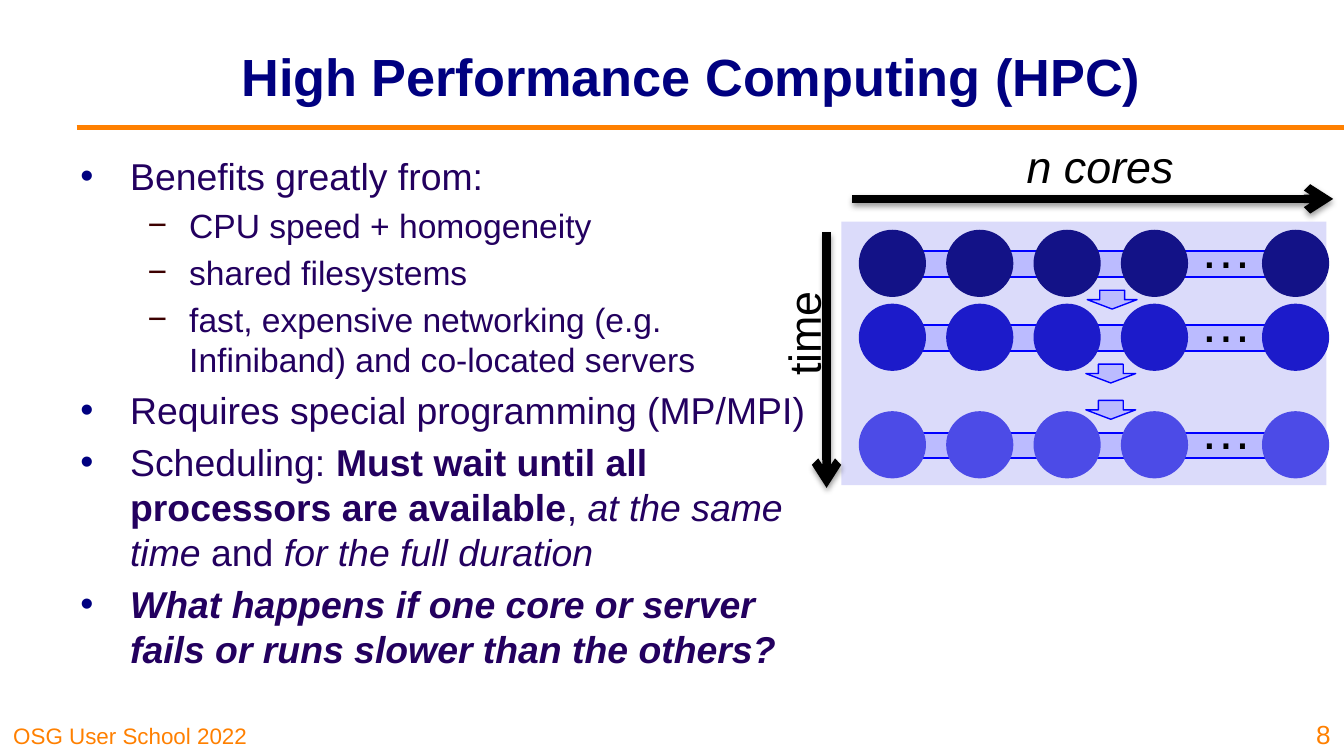
from lxml import etree
from pptx import Presentation
from pptx.dml.color import RGBColor
from pptx.enum.shapes import MSO_CONNECTOR as Connector, MSO_SHAPE as Shape
from pptx.enum.text import MSO_ANCHOR as Anchor, PP_ALIGN as Align
from pptx.oxml.ns import qn
from pptx.util import Inches, Pt

COLORS = {
    "navy": "000080", "orange": "FF8000", "ink": "23005F", "dash": "3C0000",
    "black": "000000", "panel": "DBDBFA", "bar": "BBBBFF", "edge": "0000FF",
    "dark core": "131287", "mid core": "1C1BCA", "light core": "4C4BE7",
}
FONT = "Arial"

# Each paragraph: level, then runs of (text, style), b for bold and i for italic
BODY = [
    (0, [("Benefits greatly from:", "")]),
    (1, [("CPU speed + homogeneity", "")]),
    (1, [("shared filesystems", "")]),
    (1, [("fast, expensive networking (e.g. Infiniband) and co-located servers", "")]),
    (0, [("Requires special programming (MP/MPI)", "")]),
    (0, [("Scheduling: ", ""), ("Must wait until all processors are available", "b"),
         (", ", ""), ("at the same time", "i"), (" and ", ""),
         ("for the full duration", "i")]),
    (0, [("What happens if one core or server fails or runs slower than the others?", "bi")]),
]
# Bullet, its colour, text size, left margin and hanging indent by level
LEVELS = [("•", "navy", 20, 0.37, 0.37), ("−", "dash", 18, 0.81, 0.31)]

CORE_ROWS = [(1.71, "dark core"), (2.26, "mid core"), (3.06, "light core")]
CORE_LEFTS = [6.39 + 0.65 * column for column in range(4)] + [9.39]
STEP_ARROWS = [(8.09, 2.16), (8.08, 2.71), (8.08, 2.98)]


def rgb(color):
    return RGBColor.from_string(COLORS[color])


def add_span(para, text, size, color, style=""):
    span = para.add_run()
    span.text = text
    span.font.name = FONT
    span.font.size = Pt(size)
    span.font.bold = "b" in style
    span.font.italic = "i" in style
    span.font.color.rgb = rgb(color)


def add_box(page, left, top, width, height, anchor=Anchor.TOP, wrap=True):
    box = page.shapes.add_textbox(Inches(left), Inches(top), Inches(width), Inches(height))
    box.text_frame.word_wrap = wrap
    box.text_frame.vertical_anchor = anchor
    return box


def add_label(page, place, text, size, color, style="", align=Align.LEFT, **options):
    box = add_box(page, *place, **options)
    para = box.text_frame.paragraphs[0]
    para.alignment = align
    add_span(para, text, size, color, style)
    return box


def set_bullet(para, mark, color, margin, hanging):
    props = para._p.get_or_add_pPr()
    props.set("marL", str(Inches(margin)))
    props.set("indent", str(-Inches(hanging)))
    tint = etree.SubElement(props, qn("a:buClr"))
    etree.SubElement(tint, qn("a:srgbClr"), val=COLORS[color])
    etree.SubElement(props, qn("a:buFont"), typeface=FONT)
    etree.SubElement(props, qn("a:buChar"), char=mark)


def add_body(page):
    frame = add_box(page, 0.5, 1.09, 5.67, 3.84).text_frame
    for index, (level, runs) in enumerate(BODY):
        para = frame.add_paragraph() if index else frame.paragraphs[0]
        mark, color, size, margin, hanging = LEVELS[level]
        para.level = level
        para.space_before = Pt(0.2 * size if index else 0)
        set_bullet(para, mark, color, margin, hanging)
        for text, style in runs:
            add_span(para, text, size, "ink", style)


def add_shape(page, kind, left, top, width, height, fill, line_width=0):
    shape = page.shapes.add_shape(
        kind, Inches(left), Inches(top), Inches(width), Inches(height))
    shape.shadow.inherit = False
    shape.fill.solid()
    shape.fill.fore_color.rgb = rgb(fill)
    if line_width:
        shape.line.color.rgb = rgb("edge")
        shape.line.width = Pt(line_width)
    else:
        shape.line.fill.background()
    return shape


def add_line(page, start, end, color, width):
    """Draw a straight line and return it with its empty effect list."""
    line = page.shapes.add_connector(Connector.STRAIGHT, *map(Inches, start + end))
    line.line.color.rgb = rgb(color)
    line.line.width = Pt(width)
    effects = etree.SubElement(line._element.spPr, qn("a:effectLst"))
    return line, effects


def add_axis(page, start, end):
    """Draw a thick arrow with a soft shadow below it."""
    line, effects = add_line(page, start, end, "black", 4.5)
    etree.SubElement(line.line._get_or_add_ln(), qn("a:tailEnd"), type="arrow")
    shadow = etree.SubElement(
        effects, qn("a:outerShdw"), blurRad=str(Pt(3.1)), dist=str(Pt(1.6)),
        dir="5400000", rotWithShape="0")
    tint = etree.SubElement(shadow, qn("a:srgbClr"), val=COLORS["black"])
    etree.SubElement(tint, qn("a:alpha"), val="38000")


def add_core_row(page, top, color):
    add_shape(page, Shape.RECTANGLE, 6.69, top + 0.16, 3.1, 0.19, "bar", 1)
    for left in CORE_LEFTS:
        add_shape(page, Shape.OVAL, left, top, 0.5, 0.5, color)
    add_label(page, (8.83, top - 0.15, 0.59, 0.57), "…", 28, "black", wrap=False)


def add_diagram(page):
    add_axis(page, (6.15, 1.73), (6.15, 3.63))
    time = add_label(page, (5.52, 2.19, 0.91, 0.5), "time", 24, "black")
    time.rotation = 270
    add_axis(page, (6.34, 1.48), (9.92, 1.48))
    add_label(page, (7.54, 0.98, 2.15, 0.5), "n cores", 24, "black", "i")
    for top, color in CORE_ROWS:
        add_core_row(page, top, color)
    for left, top in STEP_ARROWS:
        add_shape(page, Shape.DOWN_ARROW, left, top, 0.37, 0.14, "bar", 0.75)


def main():
    deck = Presentation()
    deck.slide_width, deck.slide_height = Inches(10), Inches(5.625)
    page = deck.slides.add_slide(deck.slide_layouts[6])
    add_label(page, (0, 5.31, 2.48, 0.31), "OSG User School 2022", 12, "orange",
              anchor=Anchor.BOTTOM)
    add_line(page, (0.57, 0.95), (10, 0.95), "orange", 3)
    panel = add_shape(page, Shape.ROUNDED_RECTANGLE, 6.26, 1.65, 3.61, 1.96, "panel")
    panel.adjustments[0] = 0
    add_label(page, (1.34, 0.09, 7.6, 0.94), "High Performance Computing (HPC)", 28,
              "navy", "b", Align.CENTER, anchor=Anchor.MIDDLE)
    add_body(page)
    add_label(page, (9.54, 5.25, 0.46, 0.38), "8", 14, "orange", align=Align.RIGHT,
              anchor=Anchor.BOTTOM)
    add_diagram(page)
    deck.save("out.pptx")


if __name__ == "__main__":
    main()
